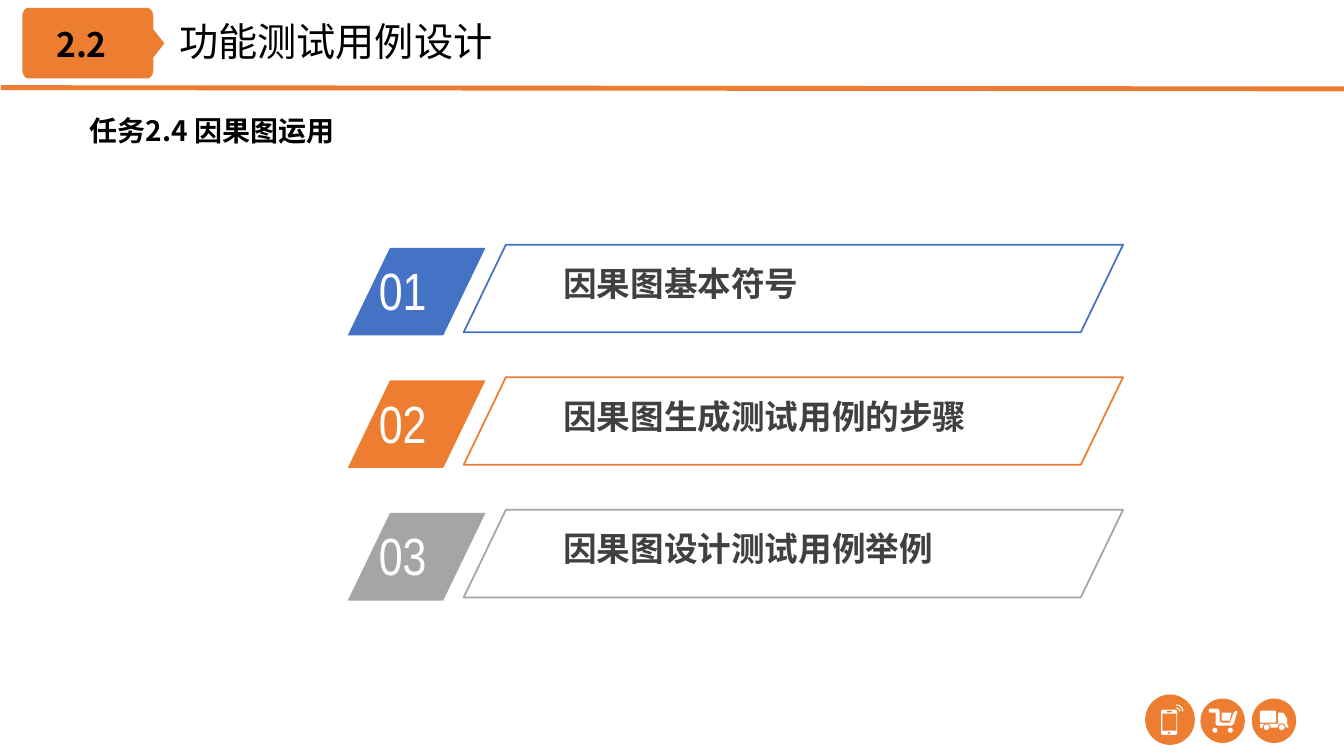
import math
import pptx
import pptx.util
import pptx.dml.color
import pptx.enum.shapes
import pptx.oxml
import pptx.oxml.ns

Pt = pptx.util.Pt
RGB = pptx.dml.color.RGBColor.from_string
MSO = pptx.enum.shapes.MSO_SHAPE

theme = {
    "orange": "ED7D31", "blue": "4472C4", "grey": "A5A5A5",
    "white": "FFFFFF", "black": "000000", "dark": "404040",
    "cjk": "Noto Sans CJK SC", "narrow": "Arial Narrow",
    "title": 28, "label": 24, "task": 20, "number": 37.4,
}

prs = pptx.Presentation()
prs.slide_width, prs.slide_height = Pt(960), Pt(540)
s = prs.slides.add_slide(prs.slide_layouts[6])


def shape(kind, at, fill=None, line=None, width=1):
    if kind is None:
        pts = [(Pt(x), Pt(y)) for x, y in at]
        fb = s.shapes.build_freeform(*pts[0])
        fb.add_line_segments(pts[1:], close=True)
        sp = fb.convert_to_shape()
    else:
        sp = s.shapes.add_shape(kind, *map(Pt, at))
    sp.shadow.inherit = False
    if fill:
        sp.fill.solid()
        sp.fill.fore_color.rgb = RGB(theme[fill])
    else:
        sp.fill.background()
    if line:
        sp.line.color.rgb = RGB(theme[line])
        sp.line.width = Pt(width)
    else:
        sp.line.fill.background()
    return sp


def text(words, at, size, color, font="cjk", bold=False):
    tf = s.shapes.add_textbox(*map(Pt, at)).text_frame
    tf.word_wrap = True
    p = tf.paragraphs[0]
    p.text = words
    p.font.name = theme[font]
    p.font.size = Pt(theme[size])
    p.font.bold = bold
    p.font.color.rgb = RGB(theme[color])
    ea = pptx.oxml.parse_xml(f'<a:ea {pptx.oxml.ns.nsdecls("a")} typeface="{theme[font]}"/>')
    p._p.pPr.find(pptx.oxml.ns.qn("a:defRPr")).append(ea)
    return p


rule = s.shapes.add_connector(pptx.enum.shapes.MSO_CONNECTOR.STRAIGHT, Pt(0.7), Pt(62.6), Pt(962), Pt(63.5))
rule.line.color.rgb = RGB(theme["orange"])
rule.line.width = Pt(3.5)
rule._element.spPr.append(pptx.oxml.parse_xml(f'<a:effectLst {pptx.oxml.ns.nsdecls("a")}/>'))

tag = []
for cx, cy, start in ((20.4, 12, 180), (105, 12, 270), (105, 49.7, 0), (20.4, 49.7, 90)):
    if start == 0:
        tag += [(109.5, 20.9), (117.4, 31), (109.5, 41)]
    for deg in range(start, start + 91, 15):
        a = math.radians(deg)
        tag.append((cx + 4.5 * math.cos(a), cy + 6.4 * math.sin(a)))
shape(None, tag, "orange")

for x in (857.5, 894.2):
    shape(MSO.ROUNDED_RECTANGLE, (x, 499, 31.7, 31.7), "orange").adjustments[0] = 0.5
shape(MSO.OVAL, (818, 496.1, 35.5, 36), "orange")

shape(None, [(864, 506.2), (870.5, 506.2), (871.2, 508), (871.2, 514.8), (872.6, 516.2),
             (878.4, 516.2), (879.1, 514.8), (881.3, 509), (882.7, 507.6), (884, 508.3),
             (881.3, 517), (879.8, 518.4), (869.8, 518.4), (868.3, 517.5), (868.3, 509),
             (864, 509), (863.3, 507.6)], "white")
shape(None, [(872.6, 509), (879.8, 509), (878.4, 514.8), (872.6, 514.8)], "white")
for x in (866, 877):
    shape(MSO.OVAL, (x, 519.8, 3.6, 3.6), "white")

shape(MSO.ROUNDED_RECTANGLE, (900, 507.6, 11.5, 8.6), "white").adjustments[0] = 0.1
shape(None, [(900, 517), (913, 517), (913, 509), (916.6, 509), (919.4, 513.4),
             (919.4, 517), (920.2, 518.4), (920.2, 519.8), (900, 519.8)], "white")
for x in (902.2, 913):
    shape(MSO.OVAL, (x, 517, 5, 5), "white", "orange", 0.7)

shape(MSO.ROUNDED_RECTANGLE, (829.4, 506.9, 11.5, 18), "white").adjustments[0] = 0.12
shape(MSO.RECTANGLE, (830.2, 509.8, 10, 12.2), "orange")
shape(MSO.ROUNDED_RECTANGLE, (833.4, 507.7, 3.8, 1.1), "orange").adjustments[0] = 0.5
shape(MSO.OVAL, (834.4, 522.8, 1.5, 1.5), "orange")
for radius in (2.5, 4.7):
    shape(MSO.ARC, (840.3 - radius, 508.2 - radius, 2 * radius, 2 * radius), None, "white", 0.8)

text("2.2", (33.1, 13.7, 68.4, 36), "label", "black", bold=True)
text("功能测试用例设计", (121, 8.6, 354, 41), "title", "black")
p = text("任务2.4 因果图运用", (20.9, 65.5, 914, 43), "task", "black", bold=True)
p.line_spacing = 1.5
p._p.pPr.set("indent", str(Pt(36)))

items = [
    ("因果图基本符号", "blue"),
    ("因果图生成测试用例的步骤", "orange"),
    ("因果图设计测试用例举例", "grey"),
]
for i, (label, color) in enumerate(items):
    y = 177 + 94.7 * i
    shape(MSO.PARALLELOGRAM, (248.4, y, 98.4, 62.6), color).adjustments[0] = 0.482
    text(f"{i + 1:02}", (263.5, y + 4, 93.6, 52.6), "number", "white", "narrow")
    text(label, (395.3, y + 7.3, 377, 36), "label", "dark", bold=True)
    shape(MSO.PARALLELOGRAM, (331.2, y - 2.2, 471, 62.6), None, color, 1.25).adjustments[0] = 0.482

prs.save("out.pptx")
